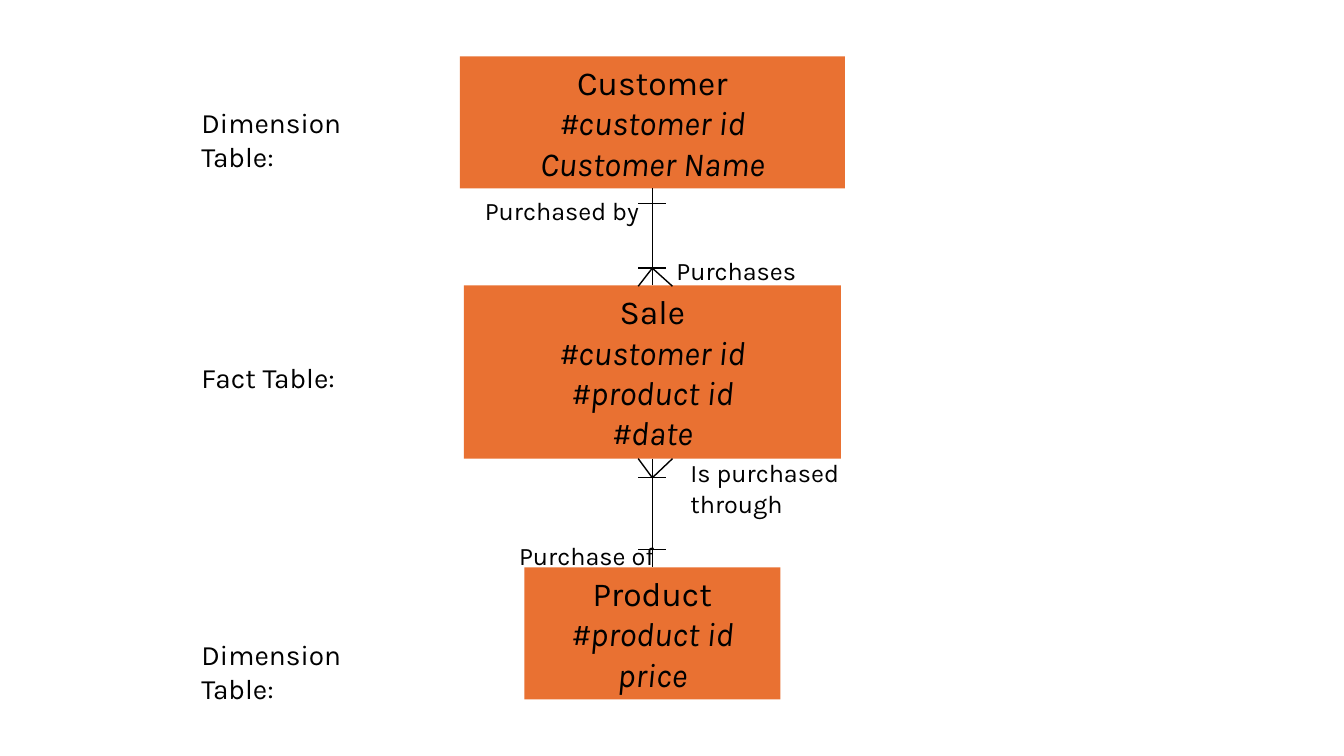
from dataclasses import dataclass

from pptx import Presentation
from pptx.dml.color import RGBColor
from pptx.enum.shapes import MSO_CONNECTOR, MSO_SHAPE
from pptx.enum.text import MSO_AUTO_SIZE, PP_ALIGN
from pptx.oxml.ns import qn
from pptx.util import Inches, Pt


@dataclass(frozen=True)
class Theme:
    """Hold the colours, font and sizes of the slide."""
    fill: RGBColor = RGBColor(0xE9, 0x71, 0x32)
    ink: RGBColor = RGBColor(0, 0, 0)
    font: str = "Karla"
    head: int = 24
    kind: int = 20
    role: int = 18
    line: int = 1


THEME = Theme()
MID = 6.47


def style(para, size, italic=False):
    """Format the runs of one paragraph."""
    for run in para.runs:
        font = run.font
        font.name = THEME.font
        font.size = Pt(size)
        font.italic = italic
        font.color.rgb = THEME.ink


def add_box(slide, top, width, height, name, fields):
    """Add a centred entity box with its name and italic fields."""
    box = slide.shapes.add_shape(
        MSO_SHAPE.RECTANGLE, Inches(MID - width / 2), Inches(top),
        Inches(width), Inches(height))
    box.shadow.inherit = False
    box.fill.solid()
    box.fill.fore_color.rgb = THEME.fill
    box.line.fill.background()
    frame = box.text_frame
    frame.word_wrap = True
    frame.auto_size = MSO_AUTO_SIZE.SHAPE_TO_FIT_TEXT
    frame.text = "\n".join([name, *fields])
    for index, para in enumerate(frame.paragraphs):
        para.alignment = PP_ALIGN.CENTER
        style(para, THEME.head, italic=index > 0)
    return box


def add_line(slide, x1, y1, x2, y2):
    """Add a thin straight line."""
    line = slide.shapes.add_connector(
        MSO_CONNECTOR.STRAIGHT, Inches(x1), Inches(y1), Inches(x2), Inches(y2))
    line.line.color.rgb = THEME.ink
    line.line.width = Pt(THEME.line)
    props = line.element.spPr
    props.append(props.makeelement(qn("a:effectLst"), {}))
    return line


def add_link(slide, upper, lower):
    """Join the bottom of one box to the top of the next."""
    link = add_line(slide, MID, 2, MID, 3)
    link.begin_connect(upper, 2)
    link.end_connect(lower, 0)


def add_foot(slide, tip, edge):
    """Spread the two outer toes of a crow's foot to a box edge."""
    for toe in (6.33, 6.67):
        add_line(slide, MID, tip, toe, edge)


def add_label(slide, left, top, width, height, text, size):
    """Add a wrapped text label."""
    box = slide.shapes.add_textbox(
        Inches(left), Inches(top), Inches(width), Inches(height))
    frame = box.text_frame
    frame.word_wrap = True
    frame.auto_size = MSO_AUTO_SIZE.SHAPE_TO_FIT_TEXT
    frame.text = text
    style(frame.paragraphs[0], size)


def main():
    """Build the star schema slide."""
    deck = Presentation()
    deck.slide_width, deck.slide_height = Inches(13.33), Inches(7.5)
    slide = deck.slides.add_slide(deck.slide_layouts[6])

    buyer = add_box(slide, 0.56, 3.82, 1.31, "Customer",
                    ["#customer id", "Customer Name"])
    sale = add_box(slide, 2.83, 3.74, 1.72, "Sale",
                   ["#customer id", "#product id", "#date"])
    goods = add_box(slide, 5.63, 2.54, 1.31, "Product",
                    ["#product id", "price"])

    add_link(slide, buyer, sale)
    add_link(slide, sale, goods)
    for y in (2.02, 2.66, 4.74, 5.45):
        add_line(slide, MID - 0.14, y, MID + 0.14, y)
    add_foot(slide, 2.66, 2.84)
    add_foot(slide, 4.74, 4.55)

    for left, top, height, text in (
            (4.71, 1.89, 0.4, "Purchased by"),
            (6.61, 2.48, 0.4, "Purchases"),
            (6.75, 4.49, 0.71, "Is purchased through"),
            (5.05, 5.31, 0.4, "Purchase of")):
        add_label(slide, left, top, 1.96, height, text, THEME.role)
    for top, text in ((1, "Dimension Table:"), (3.53, "Fact Table:"),
                      (6.28, "Dimension Table:")):
        add_label(slide, 1.9, top, 2.3, 0.44, text, THEME.kind)

    deck.save("out.pptx")


if __name__ == "__main__":
    main()
